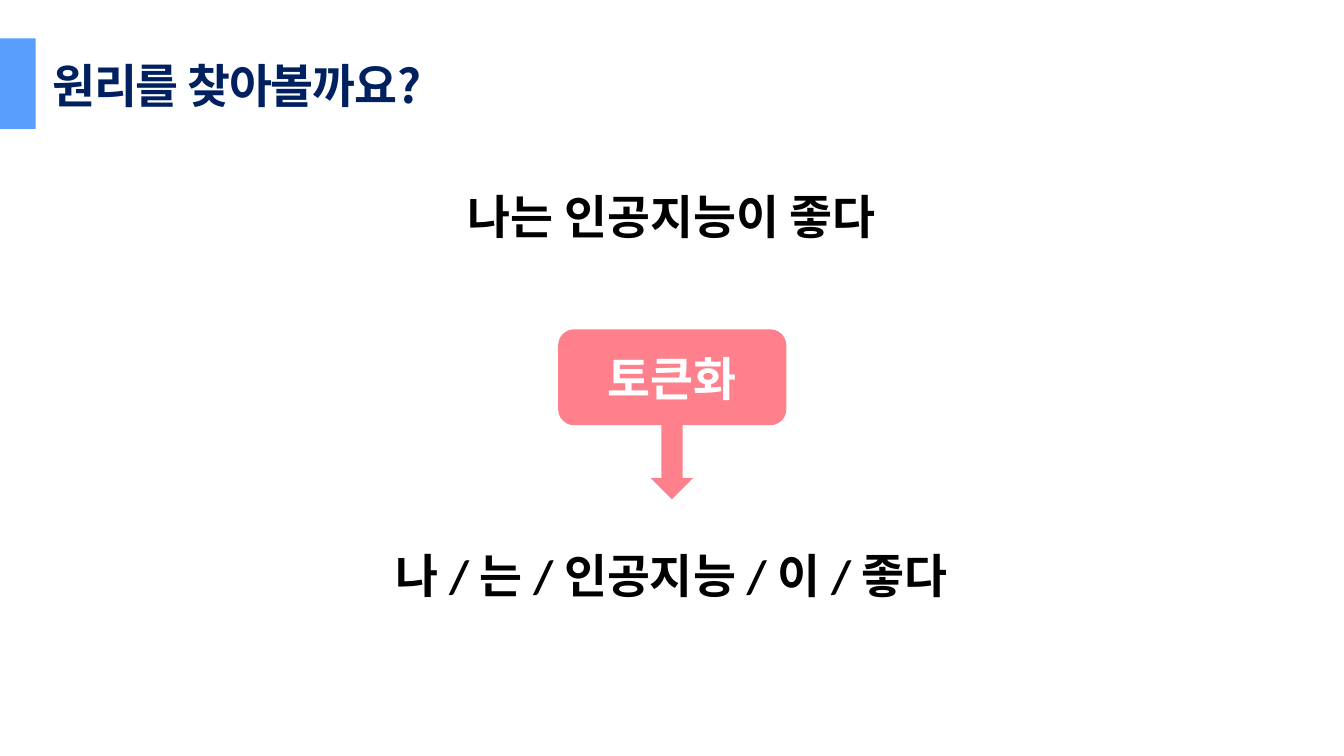
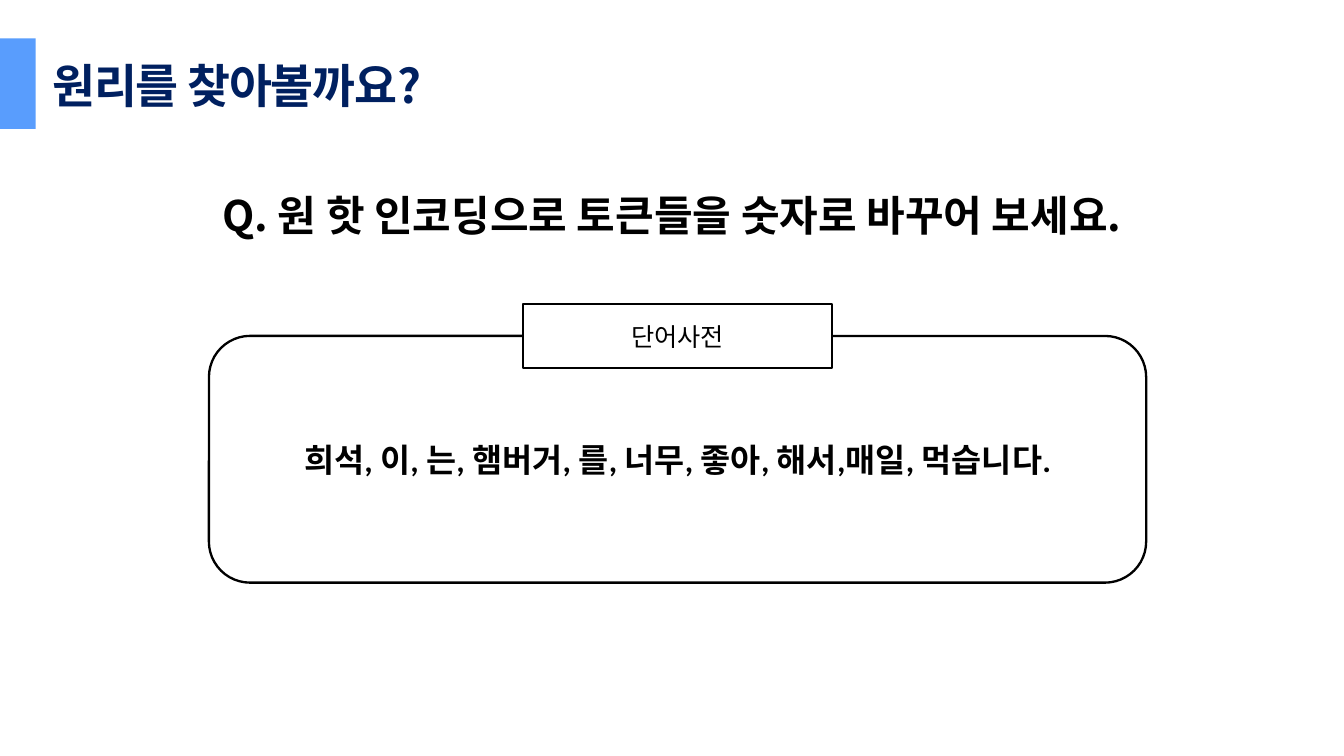
"""Build two lesson slides on tokenization and one-hot encoding."""
from dataclasses import dataclass
from typing import Optional

from pptx import Presentation
from pptx import util as u
from pptx.dml.color import RGBColor
from pptx.enum import shapes, text

COLORS = {
    "navy": "002060",
    "blue": "599DFD",
    "pink": "FF808D",
    "black": "000000",
    "white": "FFFFFF",
}
NOTO = "Noto Sans CJK KR"
CALIBRI = "Calibri"
SLIDE_WIDTH, SLIDE_HEIGHT = 20.32, 11.43
SLIDE_CENTER = SLIDE_WIDTH / 2
DICTIONARY_CENTER = 10.24
SHAPE = shapes.MSO_SHAPE


@dataclass
class Frame:
    center: float
    top: float
    width: float
    height: float

    def lengths(self) -> tuple:
        left = round(self.center - self.width / 2, 2)
        return tuple(u.Cm(n) for n in (left, self.top, self.width, self.height))


@dataclass
class Caption:
    words: str
    size: float
    font: str = CALIBRI
    color: str = "black"
    bold: bool = True
    align: text.PP_ALIGN = text.PP_ALIGN.CENTER


@dataclass
class Block:
    frame: Frame
    preset: shapes.MSO_SHAPE
    fill: Optional[str] = None
    line: Optional[str] = None
    caption: Optional[Caption] = None


@dataclass
class Label:
    frame: Frame
    caption: Caption
    wrap: bool = True
    tracking: Optional[float] = None


def rgb(name: str) -> RGBColor:
    return RGBColor.from_string(COLORS[name])


def write(text_frame, caption: Caption):
    paragraph = text_frame.paragraphs[0]
    run = paragraph.add_run()
    run.text = caption.words
    paragraph.alignment = caption.align
    paragraph.font.name = caption.font
    paragraph.font.size = u.Pt(caption.size)
    paragraph.font.bold = caption.bold
    paragraph.font.color.rgb = rgb(caption.color)
    return run


def draw_block(slide, block: Block) -> None:
    shape = slide.shapes.add_shape(block.preset, *block.frame.lengths())
    shape.shadow.inherit = False
    if block.fill:
        shape.fill.solid()
        shape.fill.fore_color.rgb = rgb(block.fill)
    else:
        shape.fill.background()
    if block.line:
        shape.line.color.rgb = rgb(block.line)
        shape.line.width = u.Pt(1)
    else:
        shape.line.fill.background()
    if block.caption:
        shape.text_frame.vertical_anchor = text.MSO_ANCHOR.MIDDLE
        write(shape.text_frame, block.caption)


def draw_label(slide, label: Label) -> None:
    text_frame = slide.shapes.add_textbox(*label.frame.lengths()).text_frame
    text_frame.word_wrap = label.wrap
    text_frame.auto_size = text.MSO_AUTO_SIZE.SHAPE_TO_FIT_TEXT
    run = write(text_frame, label.caption)
    if label.tracking is not None:
        run.font._element.set("spc", str(round(label.tracking * 100)))


HEADER = [
    Label(
        Frame(6.3, 0.74, 11.53, 1.12),
        Caption("원리를 찾아볼까요?", 20, NOTO, "navy", align=text.PP_ALIGN.LEFT),
        tracking=-0.5,
    ),
    Block(Frame(-0.02, 0.58, 1.12, 1.37), SHAPE.RECTANGLE, "blue"),
]

TOKENIZATION = [
    Label(Frame(SLIDE_CENTER, 8.15, 9.07, 1.12), Caption("나 / 는 / 인공지능 / 이 / 좋다", 20)),
    Label(Frame(SLIDE_CENTER, 2.72, 6.68, 1.12), Caption("나는 인공지능이 좋다", 20)),
    Block(Frame(SLIDE_CENTER, 4.98, 3.45, 1.45), SHAPE.ROUNDED_RECTANGLE, "pink"),
    Block(Frame(SLIDE_CENTER, 6.43, 0.64, 1.12), SHAPE.DOWN_ARROW, "pink"),
    Label(
        Frame(SLIDE_CENTER, 5.16, 2.46, 1.12),
        Caption("토큰화", 20, color="white"),
        wrap=False,
    ),
]

ONE_HOT = [
    Label(
        Frame(SLIDE_CENTER, 2.74, 14.1, 1.02),
        Caption("Q. 원 핫 인코딩으로 토큰들을 숫자로 바꾸어 보세요.", 18, NOTO),
    ),
    Block(
        Frame(DICTIONARY_CENTER, 5.08, 14.17, 3.73),
        SHAPE.ROUNDED_RECTANGLE,
        line="black",
    ),
    Block(
        Frame(DICTIONARY_CENTER, 4.6, 4.67, 0.97),
        SHAPE.RECTANGLE,
        "white",
        "black",
        Caption("단어사전", 10.8, NOTO, bold=False),
    ),
    Label(
        Frame(DICTIONARY_CENTER, 6.53, 14.33, 0.86),
        Caption("희석, 이, 는, 햄버거, 를, 너무, 좋아, 해서,매일, 먹습니다.", 14),
    ),
]


def main() -> None:
    deck = Presentation()
    deck.slide_width = u.Cm(SLIDE_WIDTH)
    deck.slide_height = u.Cm(SLIDE_HEIGHT)
    for content in (TOKENIZATION, ONE_HOT):
        slide = deck.slides.add_slide(deck.slide_layouts[6])
        for part in HEADER + content:
            if isinstance(part, Label):
                draw_label(slide, part)
            else:
                draw_block(slide, part)
    deck.save("out.pptx")


if __name__ == "__main__":
    main()
